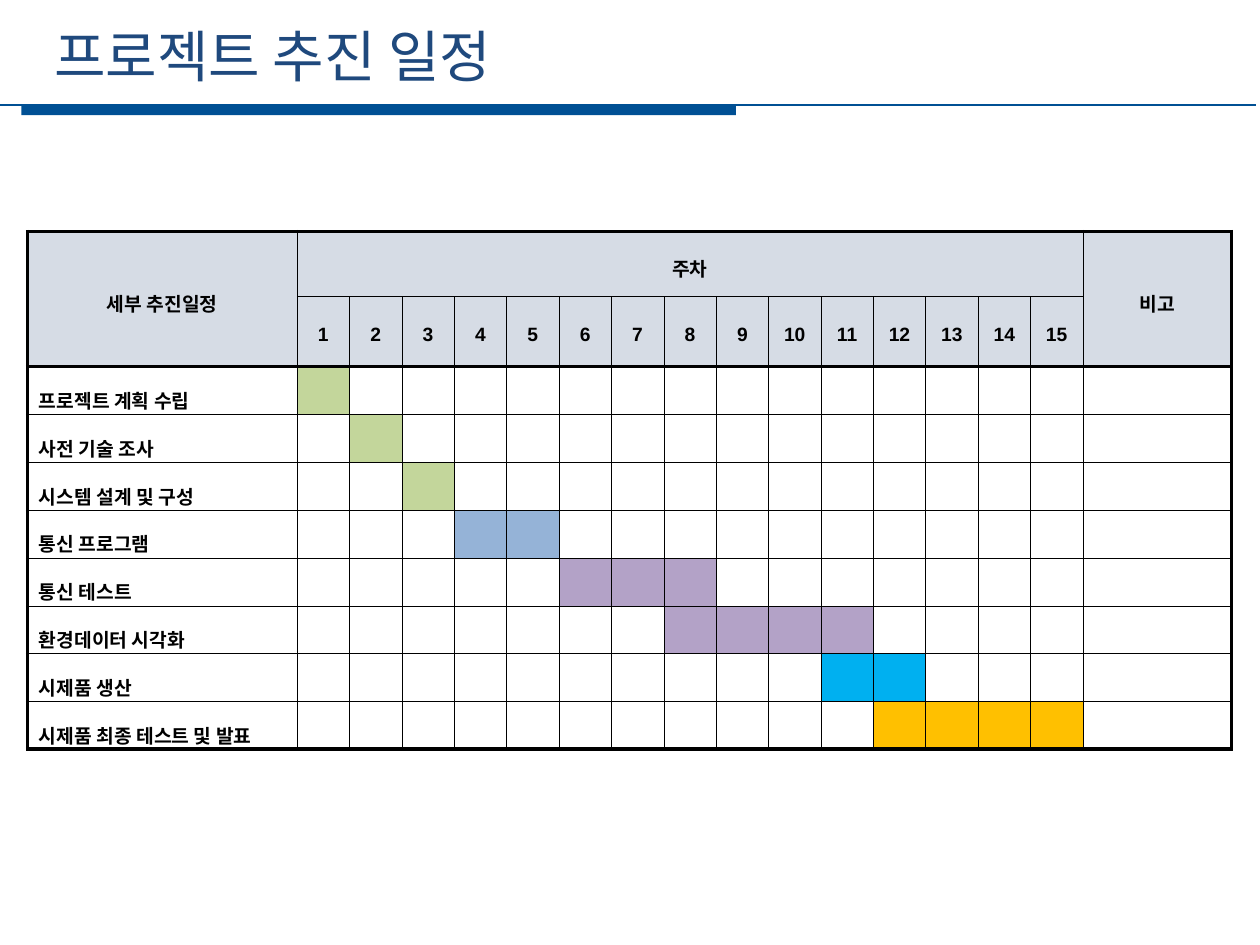
"""Build the project schedule slide with a fifteen-week Gantt table."""
from lxml import etree
from pptx import Presentation
from pptx.dml.color import RGBColor
from pptx.enum.shapes import MSO_CONNECTOR, MSO_SHAPE
from pptx.enum.text import MSO_ANCHOR, PP_ALIGN
from pptx.oxml.ns import qn
from pptx.util import Pt

STRAIGHT, RECTANGLE = MSO_CONNECTOR.STRAIGHT, MSO_SHAPE.RECTANGLE
MIDDLE = MSO_ANCHOR.MIDDLE
CENTER, JUSTIFY = PP_ALIGN.CENTER, PP_ALIGN.JUSTIFY
NAVY, BLUE = RGBColor(0x1F, 0x49, 0x7D), RGBColor(0x00, 0x50, 0x94)
BLACK, WHITE = RGBColor(0, 0, 0), RGBColor(0xFF, 0xFF, 0xFF)
HEADER = RGBColor(0xD6, 0xDC, 0xE5)
GREEN, LIGHT_BLUE = RGBColor(0xC3, 0xD6, 0x9B), RGBColor(0x95, 0xB3, 0xD7)
PURPLE, CYAN = RGBColor(0xB3, 0xA2, 0xC7), RGBColor(0x00, 0xB0, 0xF0)
AMBER = RGBColor(0xFF, 0xC0, 0x00)
LATIN, KOREAN = "Arial", "Noto Sans CJK KR"

TITLE = "프로젝트 추진 일정"
TASK_HEADING, WEEK_HEADING, NOTE_HEADING = "세부 추진일정", "주차", "비고"
TASKS = [
    ("프로젝트 계획 수립", 1, 1, GREEN),
    ("사전 기술 조사", 2, 2, GREEN),
    ("시스템 설계 및 구성", 3, 3, GREEN),
    ("통신 프로그램", 4, 5, LIGHT_BLUE),
    ("통신 테스트", 6, 8, PURPLE),
    ("환경데이터 시각화", 8, 11, PURPLE),
    ("시제품 생산", 11, 12, CYAN),
    ("시제품 최종 테스트 및 발표", 12, 15, AMBER),
]
WEEKS = 15
COLUMN_WIDTHS = [154] + [29.95] * WEEKS + [85]
ROW_HEIGHTS = [37.2, 40.2] + [27.3] * len(TASKS)
LAST_COLUMN, LAST_ROW = len(COLUMN_WIDTHS) - 1, len(ROW_HEIGHTS) - 1
THIN, HEADER_RULE, FRAME = 0.28, 1.98, 2.25


def style_run(run, size, color, latin, bold=False):
    run.font.size, run.font.bold, run.font.name = Pt(size), bold, latin
    run.font.color.rgb = color
    etree.SubElement(run._r.get_or_add_rPr(), qn("a:ea"), typeface=KOREAN)


def write_cell(cell, text, alignment, spacing, indent=0):
    cell.text_frame.text = text
    paragraph = cell.text_frame.paragraphs[0]
    paragraph.alignment, paragraph.line_spacing = alignment, spacing
    if indent:
        paragraph._p.get_or_add_pPr().set("marL", str(Pt(indent)))
    style_run(paragraph.runs[0], 11, BLACK, LATIN, True)


def format_cell(cell, fill, row, column):
    cell.vertical_anchor = MIDDLE
    cell.margin_left = cell.margin_right = Pt(1.42)
    cell.margin_top = cell.margin_bottom = Pt(1.42)
    properties = cell._tc.get_or_add_tcPr()
    widths = {
        "a:lnL": FRAME if column == 0 else THIN,
        "a:lnR": FRAME if column == LAST_COLUMN else THIN,
        "a:lnT": {0: FRAME, 2: HEADER_RULE}.get(row, THIN),
        "a:lnB": {1: HEADER_RULE, LAST_ROW: FRAME}.get(row, THIN),
    }
    for tag, width in widths.items():
        line = etree.SubElement(properties, qn(tag), w=str(Pt(width)))
        solid = etree.SubElement(line, qn("a:solidFill"))
        etree.SubElement(solid, qn("a:srgbClr"), val=str(BLACK))
    cell.fill.solid()
    cell.fill.fore_color.rgb = fill


def add_heading(slide):
    bar = slide.shapes.add_shape(RECTANGLE, Pt(12.3), Pt(60), Pt(408.3), Pt(5.8))
    bar.shadow.inherit = False
    bar.fill.solid()
    bar.fill.fore_color.rgb = BLUE
    bar.line.fill.background()
    rule = slide.shapes.add_connector(STRAIGHT, Pt(-2), Pt(60), Pt(718), Pt(60))
    rule.line.color.rgb, rule.line.width = BLUE, Pt(1.25)
    etree.SubElement(rule._element.spPr, qn("a:effectLst"))
    title = slide.shapes.add_textbox(Pt(23.8), Pt(8.6), Pt(645), Pt(46))
    title.text_frame.word_wrap = True
    title.text_frame.vertical_anchor = MIDDLE
    title.text_frame.text = TITLE
    style_run(title.text_frame.paragraphs[0].runs[0], 32, NAVY, KOREAN)


def add_schedule(slide):
    table = slide.shapes.add_table(
        len(ROW_HEIGHTS), len(COLUMN_WIDTHS), Pt(15.8), Pt(132.3),
        Pt(sum(COLUMN_WIDTHS)), Pt(sum(ROW_HEIGHTS))).table
    for column, width in zip(table.columns, COLUMN_WIDTHS):
        column.width = Pt(width)
    for row, height in zip(table.rows, ROW_HEIGHTS):
        row.height = Pt(height)
    for row in range(len(ROW_HEIGHTS)):
        for column in range(len(COLUMN_WIDTHS)):
            fill = HEADER
            if row > 1:
                _, start, end, color = TASKS[row - 2]
                fill = color if start <= column <= end else WHITE
            format_cell(table.cell(row, column), fill, row, column)
    table.cell(0, 0).merge(table.cell(1, 0))
    table.cell(0, 1).merge(table.cell(0, WEEKS))
    table.cell(0, LAST_COLUMN).merge(table.cell(1, LAST_COLUMN))
    for column, text in ((0, TASK_HEADING), (1, WEEK_HEADING), (LAST_COLUMN, NOTE_HEADING)):
        write_cell(table.cell(0, column), text, CENTER, 1.3)
    for week in range(1, WEEKS + 1):
        write_cell(table.cell(1, week), str(week), CENTER, 1.3)
    for row, task in enumerate(TASKS, 2):
        write_cell(table.cell(row, 0), task[0], JUSTIFY, 1.6, 5)


def main():
    presentation = Presentation()
    presentation.slide_width, presentation.slide_height = Pt(720), Pt(540)
    slide = presentation.slides.add_slide(presentation.slide_layouts[6])
    add_heading(slide)
    add_schedule(slide)
    presentation.save("out.pptx")


if __name__ == "__main__":
    main()
